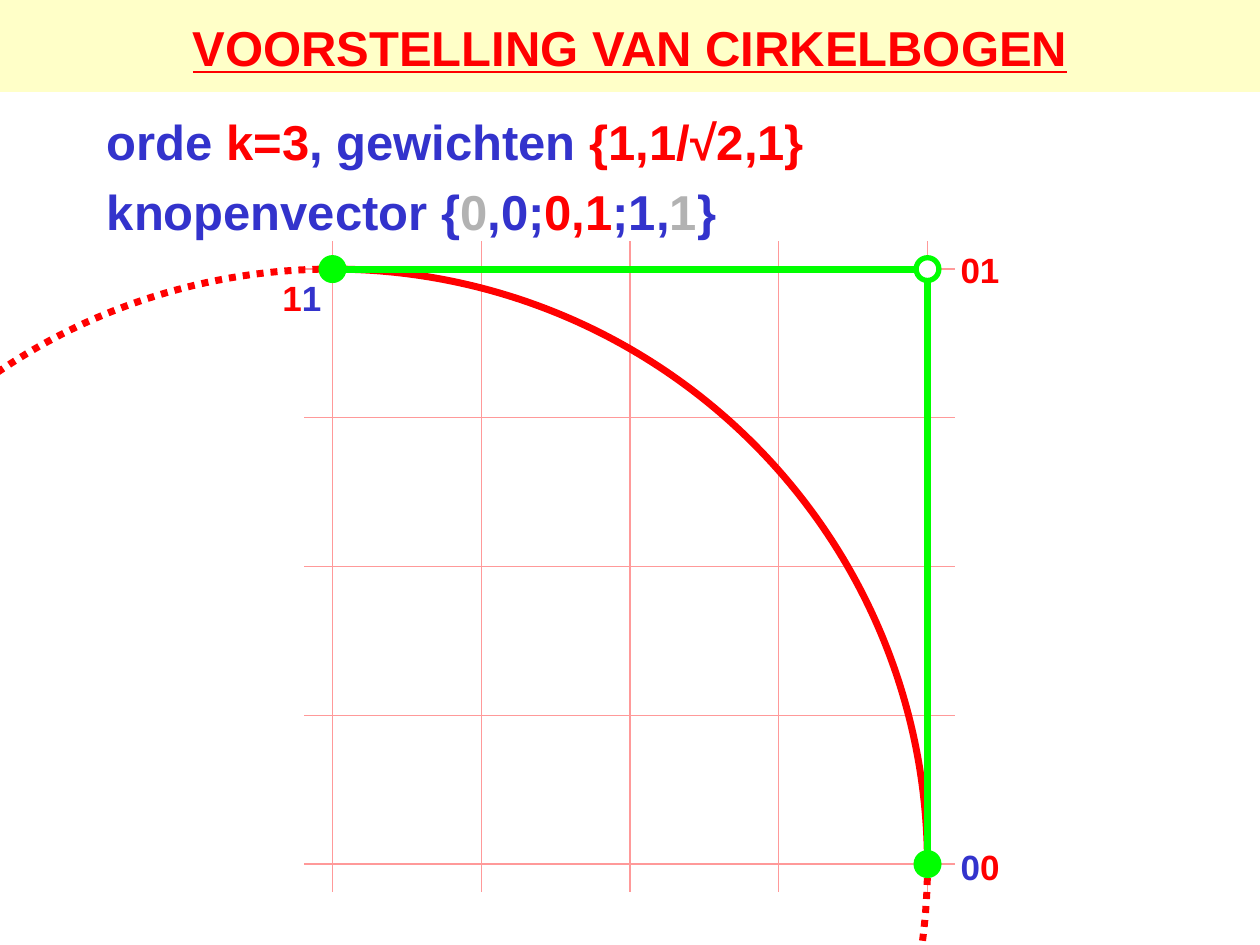
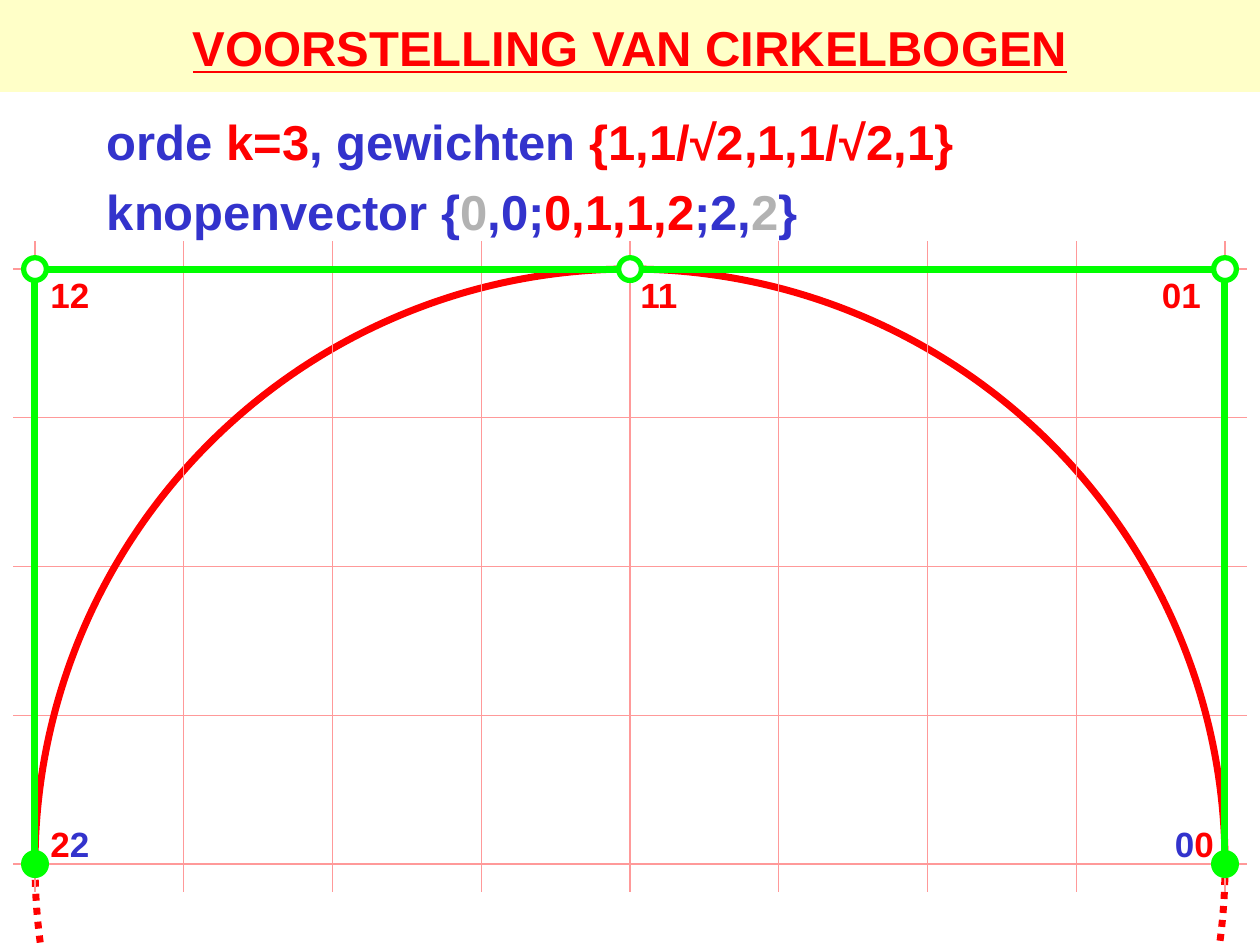
"""Builds two slides on circle arcs as rational B-splines."""
from lxml.etree import SubElement as Sub
from pptx import Presentation
from pptx.dml.color import RGBColor as Rgb
from pptx.enum.dml import MSO_LINE as Dash
from pptx.enum.shapes import MSO_CONNECTOR as Link, MSO_SHAPE as Form
from pptx.enum.text import MSO_ANCHOR as Anchor, MSO_AUTO_SIZE as Fit, PP_ALIGN as Align
from pptx.oxml.ns import qn
from pptx.util import Pt

HUES = {"red": "FF0000", "blue": "3333CC", "gray": "B2B2B2", "pink": "FF9999",
        "green": "00FF00", "white": "FFFFFF", "cream": "FFFFC8"}
TITLE = "VOORSTELLING VAN CIRKELBOGEN"
WIDE, HIGH = 720, 540
STEP, ROWS, TOP = 85, 4, 153.75
RAD = STEP * ROWS
BASE = TOP + RAD
DOT = 13
TAG = (37, 31)


def intro(weights, mid, last):
    """Return the two lines on order, weights and knots."""
    return [
        [("orde ", "blue"), ("k=3", "red"), (", gewichten ", "blue"), (weights, "red")],
        [("knopenvector {", "blue"), ("0", "gray"), (",0;", "blue"), (mid, "red"),
         (f";{last},", "blue"), (last, "gray"), ("}", "blue")],
    ]


# Each node: column, row, solid, label runs, label offset from the node.
SLIDES = [
    {"text": intro("{1,1/√2,1}", "0,1", "1"),
     "left": 190, "cols": 4, "over": 16, "mid": 190, "start": 270, "front": "arcs",
     "nodes": [
         (0, 0, True, [("1", "red"), ("1", "blue")], (-36, 1)),
         (4, 0, False, [("01", "red")], (11.5, -15.5)),
         (4, 4, True, [("0", "blue"), ("0", "red")], (11.5, -14.25))]},
    {"text": intro("{1,1/√2,1,1/√2,1}", "0,1,1,2", "2"),
     "left": 20, "cols": 8, "over": 12.5, "mid": 360, "start": 180, "front": "grid",
     "nodes": [
         (0, 4, True, [("2", "red"), ("2", "blue")], (1.5, -27)),
         (0, 0, False, [("12", "red")], (1.5, -1)),
         (4, 0, False, [("11", "red")], (-2, -1)),
         (8, 0, False, [("01", "red")], (-43.5, -1)),
         (8, 4, True, [("0", "blue"), ("0", "red")], (-36, -27))]},
]


def hue(name):
    """Return the named colour."""
    return Rgb.from_string(HUES[name])


def write(para, runs, size, under=None):
    """Add coloured bold runs to a paragraph."""
    for text, name in runs:
        run = para.add_run()
        run.text = text
        font = run.font
        font.name, font.size, font.bold, font.underline = "Arial", Pt(size), True, under
        font.color.rgb = hue(name)


def line(slide, start, end, name, width):
    """Draw a straight line between two points."""
    rule = slide.shapes.add_connector(Link.STRAIGHT, *map(Pt, start + end))
    rule.line.color.rgb, rule.line.width = hue(name), Pt(width)
    Sub(rule.element.spPr, qn("a:effectLst"))


def shape(slide, form, box, fill, edge, width):
    """Draw a preset shape, unfilled when fill is None."""
    item = slide.shapes.add_shape(form, *map(Pt, box))
    item.shadow.inherit = False
    if fill:
        item.fill.solid()
        item.fill.fore_color.rgb = hue(fill)
    else:
        item.fill.background()
    item.line.color.rgb, item.line.width = hue(edge), Pt(width)
    return item


def arc(slide, mid, start, end, dash=None):
    """Draw a clockwise arc between two angles in degrees."""
    box = (mid - RAD, TOP, 2 * RAD, 2 * RAD)
    item = shape(slide, Form.ARC, box, None, "red", 4)
    for i, angle in enumerate((start, end)):
        item.adjustments[i] = angle * 0.6
    item.line.dash_style = dash


def arcs(slide, data):
    """Draw the solid arc and the dotted rest of the circle."""
    arc(slide, data["mid"], data["start"], 359.99)
    arc(slide, data["mid"], 0, data["start"], Dash.ROUND_DOT)


def rows(slide, data):
    """Draw the level grid lines."""
    left, over = data["left"], data["over"]
    right = left + data["cols"] * STEP
    for i in range(ROWS + 1):
        y = TOP + i * STEP
        line(slide, (left - over, y), (right + over, y), "pink", 0.75)


def cols(slide, data):
    """Draw the upright grid lines."""
    for i in range(data["cols"] + 1):
        x = data["left"] + i * STEP
        line(slide, (x, TOP - 16), (x, BASE + 16), "pink", 0.75)


def nodes(slide, data):
    """Draw the control polygon with its nodes and labels."""
    spots = [(data["left"] + c * STEP, TOP + r * STEP) for c, r, *_ in data["nodes"]]
    for start, end in zip(spots, spots[1:]):
        line(slide, start, end, "green", 4)
    for (x, y), (_, _, solid, runs, (dx, dy)) in zip(spots, data["nodes"]):
        box = (x - DOT / 2, y - DOT / 2, DOT, DOT)
        shape(slide, Form.OVAL, box, "green" if solid else "white", "green", 3)
        tag = slide.shapes.add_textbox(Pt(x + dx), Pt(y + dy), *map(Pt, TAG)).text_frame
        tag.word_wrap = False
        tag.paragraphs[0].alignment = Align.CENTER
        write(tag.paragraphs[0], runs, 20)


def head(slide, lines):
    """Fill in the title and the intro lines."""
    title = slide.shapes.title
    title.left, title.top, title.width, title.height = map(Pt, (0, 0, WIDE, 54))
    frame = title.text_frame
    frame.auto_size, frame.vertical_anchor = Fit.NONE, Anchor.MIDDLE
    frame.paragraphs[0].alignment = Align.CENTER
    write(frame.paragraphs[0], [(TITLE, "red")], 28, True)
    body = slide.shapes.add_textbox(*map(Pt, (54, 60, 620, 150))).text_frame
    body.word_wrap = True
    for i, runs in enumerate(lines):
        para = body.add_paragraph() if i else body.paragraphs[0]
        para.space_before = Pt(6.5)
        props = para._p.get_or_add_pPr()
        props.set("marL", str(Pt(27)))
        props.set("indent", str(Pt(-27)))
        write(para, runs, 28)


def main():
    """Build and save the slides."""
    deck = Presentation()
    deck.slide_width, deck.slide_height = Pt(WIDE), Pt(HIGH)
    plan = deck.slide_layouts[5]
    for i, data in enumerate(SLIDES):
        slide = deck.slides.add_slide(plan)
        if i == 0:
            band = shape(slide, Form.RECTANGLE, (0, 0, WIDE, 52.5), "cream", "cream", 0)
            plan.shapes.element.insert(2, band.element)
        head(slide, data["text"])
        rows(slide, data)
        for draw in (cols, arcs) if data["front"] == "arcs" else (arcs, cols):
            draw(slide, data)
        nodes(slide, data)
    deck.save("out.pptx")


if __name__ == "__main__":
    main()
